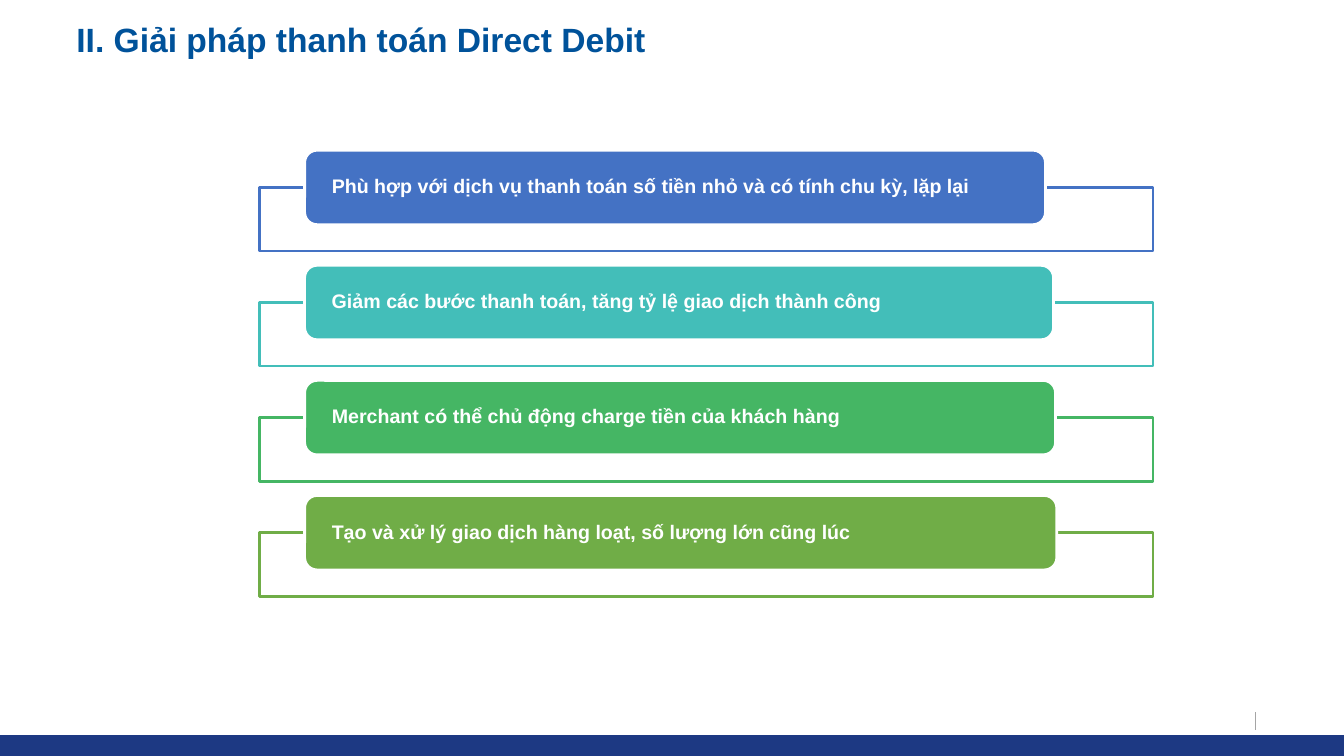
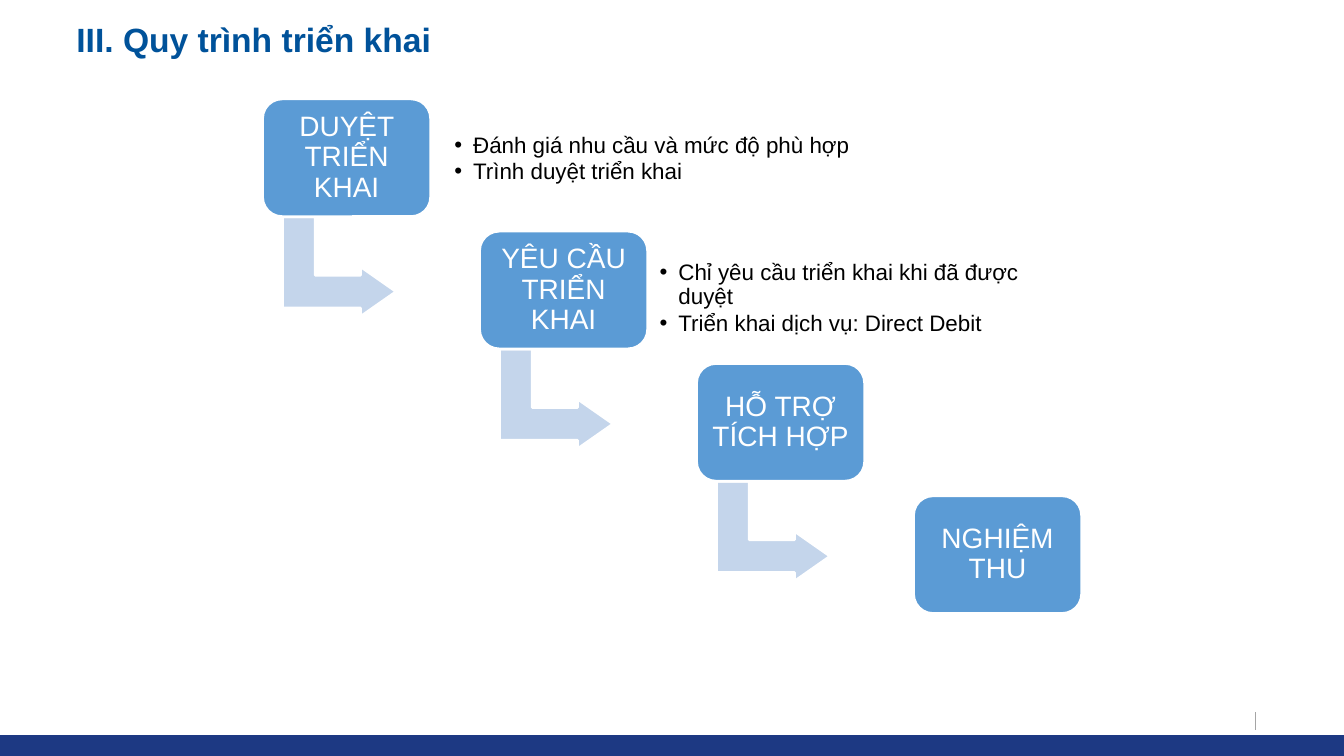
from lxml import etree
from pptx import Presentation
from pptx.dml.color import RGBColor
from pptx.enum.shapes import MSO_CONNECTOR, MSO_SHAPE
from pptx.enum.text import MSO_ANCHOR, PP_ALIGN
from pptx.oxml import parse_xml
from pptx.oxml.ns import nsdecls, qn
from pptx.util import Pt

# Shared look
FONT = "Arial"
WHITE = RGBColor(0xFF, 0xFF, 0xFF)
BLACK = RGBColor(0x00, 0x00, 0x00)
GRAY = RGBColor(0xA5, 0xA5, 0xA5)
TITLE_BLUE = RGBColor(0x00, 0x52, 0x9A)
BAND_BLUE = RGBColor(0x1D, 0x39, 0x83)
STEP_BLUE = RGBColor(0x5B, 0x9B, 0xD5)
ARROW_BLUE = RGBColor(0xC4, 0xD5, 0xEB)
BLUE = RGBColor(0x44, 0x72, 0xC4)
TEAL = RGBColor(0x43, 0xBE, 0xB9)
GREEN = RGBColor(0x45, 0xB6, 0x64)
OLIVE = RGBColor(0x70, 0xAD, 0x47)
PAGE_W, PAGE_H = 960, 540

# Slide content: benefit text, colour, tab width
BENEFITS = [
    ("Phù hợp với dịch vụ thanh toán số tiền nhỏ và có tính chu kỳ, lặp lại", BLUE, 529.2),
    ("Giảm các bước thanh toán, tăng tỷ lệ giao dịch thành công", TEAL, 535),
    ("Merchant có thể chủ động charge tiền của khách hàng", GREEN, 536.4),
    ("Tạo và xử lý giao dịch hàng loạt, số lượng lớn cũng lúc", OLIVE, 537.3),
]
# Step name, its notes, and the notes' box relative to the step
STEPS = [
    ("DUYỆT TRIỂN KHAI",
     ["Đánh giá nhu cầu và mức độ phù hợp", "Trình duyệt triển khai"],
     (131, 9.4, 318, 67.6)),
    ("YÊU CẦU TRIỂN KHAI",
     ["Chỉ yêu cầu triển khai khi đã được duyệt", "Triển khai dịch vụ: Direct Debit"],
     (122.6, 14.4, 296, 67.6)),
    ("HỖ TRỢ TÍCH HỢP", [], None),
    ("NGHIỆM THU", [], None),
]


def add_block(page, kind, left, top, width, height, fill, line):
    block = page.shapes.add_shape(kind, Pt(left), Pt(top), Pt(width), Pt(height))
    block.shadow.inherit = False
    block.fill.solid()
    block.fill.fore_color.rgb = fill
    block.line.color.rgb = line
    block.line.width = Pt(2)
    return block


def add_bullet(para):
    para.level = 1
    props = para._p.get_or_add_pPr()
    props.set("marL", str(Pt(13.5)))
    props.set("indent", str(Pt(-13.5)))
    for xml in (f'<a:buClr {nsdecls("a")}><a:srgbClr val="{BLACK}"/></a:buClr>',
                f'<a:buFont {nsdecls("a")} typeface="{FONT}"/>',
                f'<a:buChar {nsdecls("a")} char="•"/>'):
        props.append(parse_xml(xml))


def write(box, *lines, size, color, bold=False, align=PP_ALIGN.LEFT,
          anchor=MSO_ANCHOR.MIDDLE, inset=(6, 6), spacing=0.9, after=0, bullet=False):
    frame = box.text_frame
    frame.word_wrap = True
    frame.vertical_anchor = anchor
    frame.margin_left = frame.margin_right = Pt(inset[0])
    frame.margin_top = frame.margin_bottom = Pt(inset[1])
    for index, text in enumerate(lines):
        para = frame.add_paragraph() if index else frame.paragraphs[0]
        para.alignment = align
        para.line_spacing = spacing
        para.space_after = Pt(after)
        if bullet:
            add_bullet(para)
        span = para.add_run()
        span.text = text
        span.font.name = FONT
        span.font.size = Pt(size)
        span.font.bold = bold
        span.font.color.rgb = color


def add_text(page, left, top, width, height, *lines, **style):
    box = page.shapes.add_textbox(Pt(left), Pt(top), Pt(width), Pt(height))
    write(box, *lines, **style)


def add_page(deck, title):
    """Blank slide with the title, bottom band and footer rule."""
    page = deck.slides.add_slide(deck.slide_layouts[6])
    rule = page.shapes.add_connector(
        MSO_CONNECTOR.STRAIGHT, Pt(897), Pt(521.3), Pt(897), Pt(508.3))
    rule.line.color.rgb = GRAY
    rule.line.width = Pt(0.75)
    etree.SubElement(rule._element.spPr, qn("a:effectLst"))
    add_text(page, 47.5, 10.1, 805, 36, title, size=24, color=TITLE_BLUE, bold=True,
             anchor=MSO_ANCHOR.TOP, inset=(7.2, 3.6), spacing=1.0)
    add_block(page, MSO_SHAPE.RECTANGLE, 0, 526.3, PAGE_W, 14.4, BAND_BLUE, BAND_BLUE)
    return page


def add_benefit(page, left, top, width, text, color, tab_width):
    """Outlined frame with a coloured tab over its top edge."""
    add_block(page, MSO_SHAPE.RECTANGLE, left, top + 26.6, width, 45.4, WHITE, color)
    tab = add_block(page, MSO_SHAPE.ROUNDED_RECTANGLE, left + 32, top, tab_width, 53.2,
                    color, WHITE)
    write(tab, text, size=14, color=WHITE, bold=True, inset=(16.8, 0))


def add_step(page, left, top, name, notes, notes_box, has_next):
    """Step box with its notes and, if another step follows, an arrow to it."""
    if has_next:
        arrow = add_block(page, MSO_SHAPE.BENT_UP_ARROW, left + 19.2, top + 79.2,
                          71.4, 81.3, ARROW_BLUE, WHITE)
        arrow.rotation = 90
        for index, value in enumerate((0.328, 0.25, 0.358)):
            arrow.adjustments[index] = value
    step = add_block(page, MSO_SHAPE.ROUNDED_RECTANGLE, left, top, 120.2, 84.2,
                     STEP_BLUE, WHITE)
    write(step, name, size=20, color=WHITE, align=PP_ALIGN.CENTER)
    if notes:
        shift_x, shift_y, width, height = notes_box
        add_text(page, left + shift_x, top + shift_y, width, height, *notes,
                 size=16, color=BLACK, after=1.5, bullet=True)


def build_benefits(deck):
    page = add_page(deck, "II. Giải pháp thanh toán Direct Debit")
    for index, benefit in enumerate(BENEFITS):
        add_benefit(page, 185.6, 107.3 + index * 82.2, 638, *benefit)


def build_process(deck):
    page = add_page(deck, "III. Quy trình triển khai")
    for index, step in enumerate(STEPS):
        add_step(page, 187.5 + index * 155, 70.6 + index * 94.5, *step,
                 has_next=index < len(STEPS) - 1)


def main():
    deck = Presentation()
    deck.slide_width, deck.slide_height = Pt(PAGE_W), Pt(PAGE_H)
    build_benefits(deck)
    build_process(deck)
    deck.save("out.pptx")


if __name__ == "__main__":
    main()
